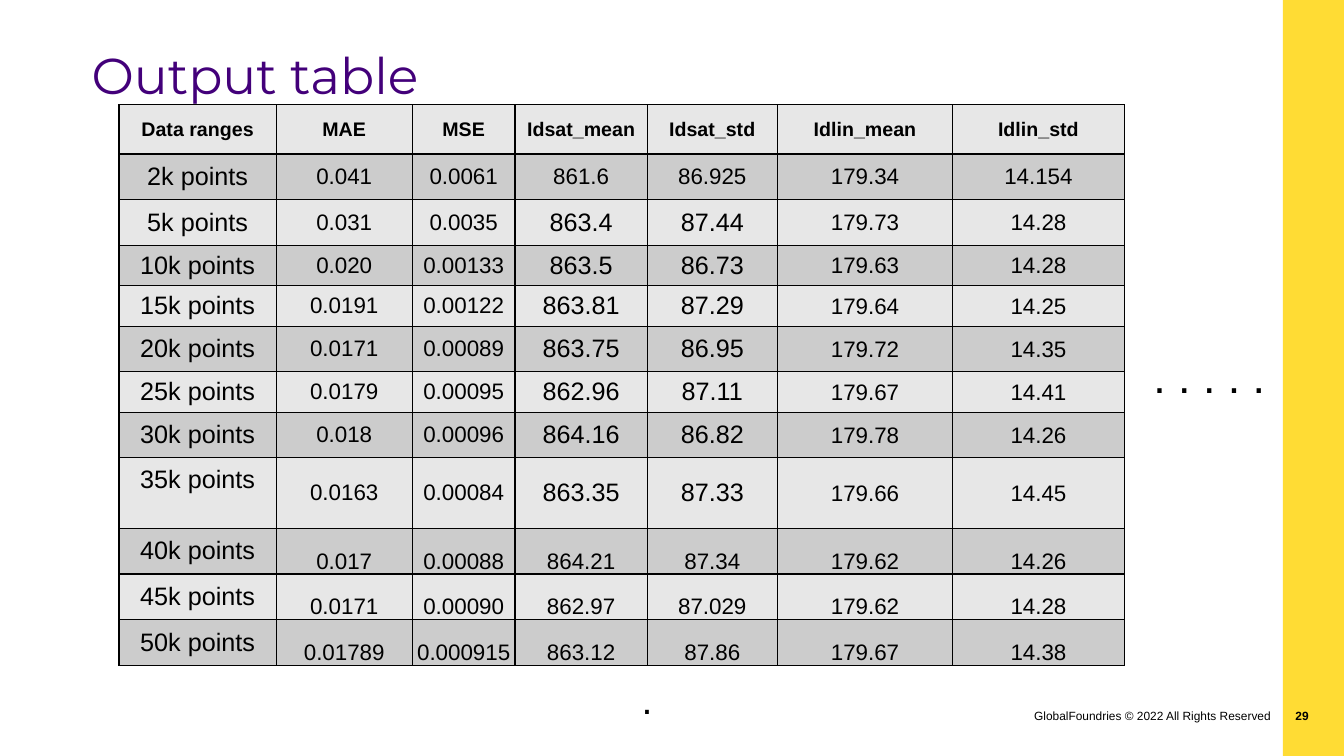
from dataclasses import dataclass

from lxml.etree import SubElement
from pptx import Presentation
from pptx.dml.color import RGBColor
from pptx.enum.shapes import MSO_SHAPE as Preset
from pptx.enum.text import MSO_ANCHOR as Anchor, PP_ALIGN as Align
from pptx.oxml.ns import qn
from pptx.util import Cm, Pt


@dataclass(frozen=True)
class Theme:
    yellow: str = "FFDC34"
    purple: str = "43007A"
    black: str = "000000"
    light_row: str = "E7E7E7"
    dark_row: str = "CCCCCC"
    title_font: str = "Montserrat"
    body_font: str = "Arial"
    title: float = 36
    side_dots: float = 32
    lower_dots: float = 28
    large: float = 18
    value: float = 16
    header: float = 14
    footer: float = 8.5


theme = Theme()


def write(frame, text, size, align=Align.CENTER, bold=False,
          name=theme.body_font, color=theme.black, line_spacing=None):
    """Fill a text frame, one paragraph per line of text."""
    frame.text = text
    for paragraph in frame.paragraphs:
        paragraph.alignment = align
        paragraph.line_spacing = line_spacing
        formats = {"name": name, "size": Pt(size), "bold": bold}
        for key, value in formats.items():
            setattr(paragraph.font, key, value)
        paragraph.font.color.rgb = RGBColor.from_string(color)


def add_borders(cell):
    properties = cell._tc.get_or_add_tcPr()
    for position, side in enumerate(("lnL", "lnR", "lnT", "lnB")):
        line = properties.makeelement(qn(f"a:{side}"), {"w": str(Pt(1))})
        fill = SubElement(line, qn("a:solidFill"))
        SubElement(fill, qn("a:srgbClr"), val=theme.black)
        properties.insert(position, line)


presentation = Presentation()
presentation.slide_width, presentation.slide_height = Cm(33.87), Cm(19.05)
slide = presentation.slides.add_slide(presentation.slide_layouts[5])

# Side band
band = slide.shapes.add_shape(
    Preset.RECTANGLE, Cm(32.33), Cm(0), Cm(1.54), presentation.slide_height)
band.shadow.inherit = False
band.fill.solid()
band.fill.fore_color.rgb = RGBColor.from_string(theme.yellow)
band.line.fill.background()

# Title
title = slide.shapes.title
title_box = {"left": Cm(2.31), "top": Cm(1.12), "width": Cm(28.04), "height": Cm(1.57)}
for key, value in title_box.items():
    setattr(title, key, value)
title_frame = {"margin_left": 0, "margin_top": 0, "margin_right": 0,
               "margin_bottom": 0, "vertical_anchor": Anchor.TOP}
for key, value in title_frame.items():
    setattr(title.text_frame, key, value)
write(title.text_frame, "Output table", theme.title, Align.LEFT,
      name=theme.title_font, color=theme.purple)

# Footer, page number and continuation dots
text_boxes = [
    ((25.55, 17.73, 6.73, 1.02), "GlobalFoundries © 2022 All Rights Reserved",
     {"size": theme.footer, "align": Align.RIGHT}),
    ((32.16, 17.73, 1.07, 1.02), "29",
     {"size": theme.footer, "align": Align.RIGHT, "bold": True}),
    ((12.5, 15.67, 7.62, 2.65), ".\n.",
     {"size": theme.lower_dots, "line_spacing": Pt(34)}),
    ((27.18, 8.66, 6.6, 1.63), ". . . . .", {"size": theme.side_dots}),
]
for box, text, formats in text_boxes:
    shape = slide.shapes.add_textbox(*map(Cm, box))
    shape.text_frame.word_wrap = True
    write(shape.text_frame, text, **formats)

# Results table
results = [
    ("Data ranges", "MAE", "MSE", "Idsat_mean", "Idsat_std", "Idlin_mean", "Idlin_std"),
    ("2k points", "0.041", "0.0061", "861.6", "86.925", "179.34", "14.154"),
    ("5k points", "0.031", "0.0035", "863.4", "87.44", "179.73", "14.28"),
    ("10k points", "0.020", "0.00133", "863.5", "86.73", "179.63", "14.28"),
    ("15k points", "0.0191", "0.00122", "863.81", "87.29", "179.64", "14.25"),
    ("20k points", "0.0171", "0.00089", "863.75", "86.95", "179.72", "14.35"),
    ("25k points", "0.0179", "0.00095", "862.96", "87.11", "179.67", "14.41"),
    ("30k points", "0.018", "0.00096", "864.16", "86.82", "179.78", "14.26"),
    ("35k points", "0.0163", "0.00084", "863.35", "87.33", "179.66", "14.45"),
    ("40k points", "0.017", "0.00088", "864.21", "87.34", "179.62", "14.26"),
    ("45k points", "0.0171", "0.00090", "862.97", "87.029", "179.62", "14.28"),
    ("50k points", "0.01789", "0.000915", "863.12", "87.86", "179.67", "14.38"),
]
column_widths = [3.96, 3.43, 2.59, 3.33, 3.28, 4.42, 4.32]
row_heights = [1.24, 1.15, 1.15, 1.02, 1.02, 1.15, 1.02, 1.15, 1.78, 1.15, 1.15, 1.15]
tall_row, first_bottom_row = 8, 9

table = slide.shapes.add_table(
    len(results), len(column_widths), Cm(3), Cm(2.64),
    Cm(sum(column_widths)), Cm(sum(row_heights))).table
for column, width in zip(table.columns, column_widths):
    column.width = Cm(width)

for row, (values, height) in enumerate(zip(results, row_heights)):
    table.rows[row].height = Cm(height)
    for column, text in enumerate(values):
        cell = table.cell(row, column)
        cell.fill.solid()
        cell.fill.fore_color.rgb = RGBColor.from_string(
            theme.dark_row if row % 2 else theme.light_row)
        add_borders(cell)

        is_value = row > 0 and column > 0
        is_bottom = is_value and row >= first_bottom_row
        cell.vertical_anchor = Anchor.BOTTOM if is_bottom else Anchor.MIDDLE
        if is_value and (row == 1 or is_bottom or column >= 5):
            cell.margin_left = cell.margin_top = cell.margin_right = Cm(0.02)
            cell.margin_bottom = 0
        if row == tall_row and column == 0:
            cell.vertical_anchor = Anchor.TOP
            cell.margin_top = Cm(0.21)

        is_large = column == 0 or (column in (3, 4) and 1 < row < first_bottom_row)
        size = theme.header if row == 0 else theme.large if is_large else theme.value
        write(cell.text_frame, text, size, bold=row == 0)

presentation.save("out.pptx")
